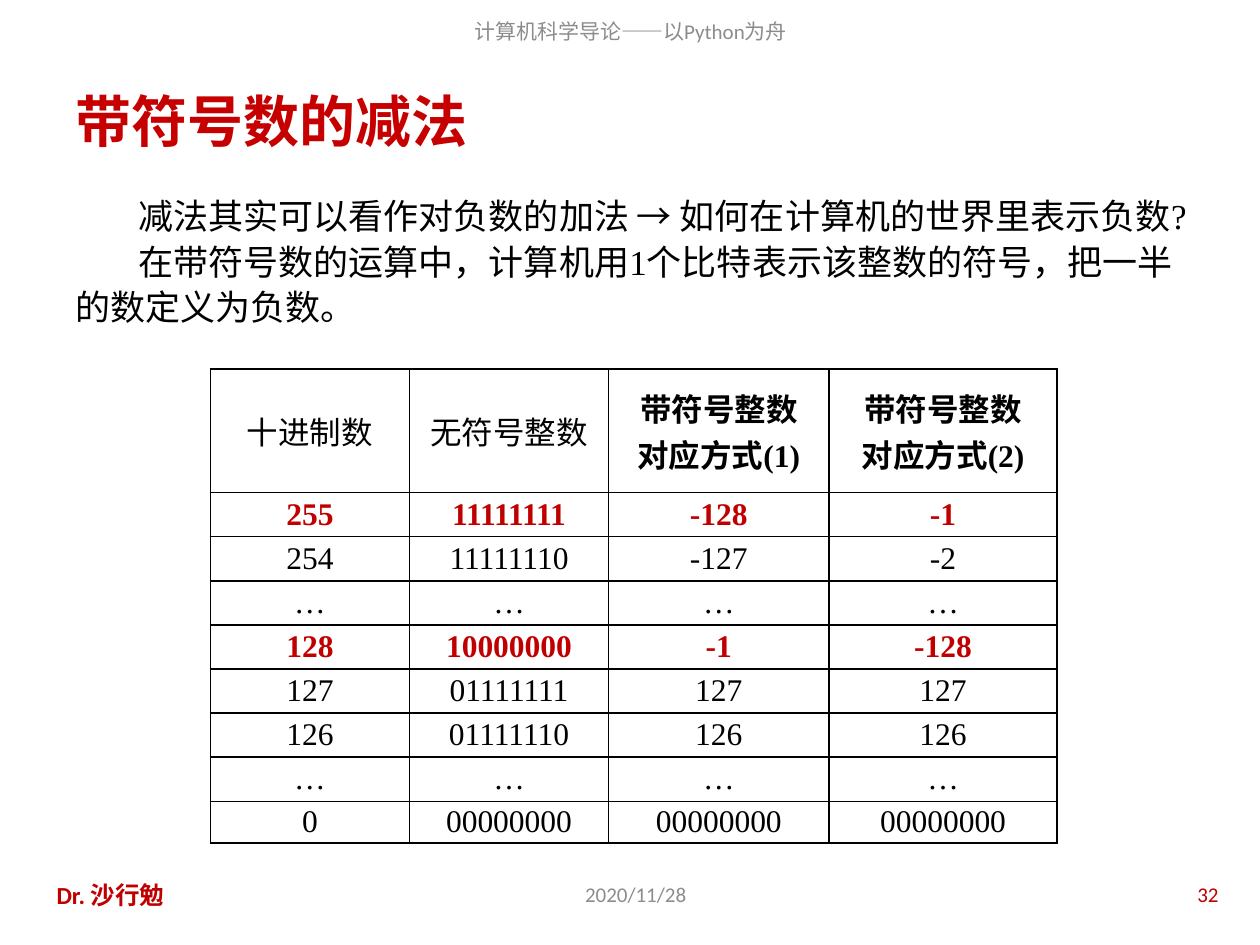
import pptx
import pptx.util
import pptx.dml.color
import pptx.enum.text
import pptx.oxml
from pptx.util import Inches

INK = {"black": "000000", "gray": "8C8C8C", "title": "C60000", "red": "C00000"}
ALIGN = pptx.enum.text.PP_ALIGN
MID = pptx.enum.text.MSO_ANCHOR.MIDDLE
TOP = pptx.enum.text.MSO_ANCHOR.TOP
NS = 'xmlns:a="http://schemas.openxmlformats.org/drawingml/2006/main"'

HEAD = ["十进制数", "无符号整数", "带符号整数\n对应方式(1)", "带符号整数\n对应方式(2)"]
ROWS = [
    ["255", "11111111", "-128", "-1"],
    ["254", "11111110", "-127", "-2"],
    ["…"] * 4,
    ["128", "10000000", "-1", "-128"],
    ["127", "01111111", "127", "127"],
    ["126", "01111110", "126", "126"],
    ["…"] * 4,
    ["0"] + ["00000000"] * 3,
]
KEYS = ("255", "128")
WIDE = [1.58, 1.58, 1.75, 1.81]
HIGH = [0.98] + [0.35] * 7 + [0.33]


def write(frame, text, size=18, font="Calibri", color="black", bold=False,
          align=ALIGN.LEFT, indent=0, space=None):
    for i, line in enumerate(text.split("\n")):
        para = frame.paragraphs[0] if i == 0 else frame.add_paragraph()
        para.alignment = align
        para.line_spacing = space
        if indent:
            props = para._p.get_or_add_pPr()
            props.set("marL", "0")
            props.set("indent", str(Inches(indent)))
            props.set("hangingPunct", "1")
        run = para.add_run()
        run.text = line
        run.font.size = pptx.util.Pt(size)
        run.font.name = font
        run.font.bold = bold
        run.font.color.rgb = pptx.dml.color.RGBColor.from_string(INK[color])


def label(slide, box, text, anchor=MID, **form):
    frame = slide.shapes.add_textbox(*map(Inches, box)).text_frame
    frame.word_wrap = True
    frame.vertical_anchor = anchor
    write(frame, text, **form)


def border(cell):
    props = cell._tc.get_or_add_tcPr()
    for i, side in enumerate(("lnL", "lnR", "lnT", "lnB")):
        props.insert(i, pptx.oxml.parse_xml(
            f'<a:{side} {NS} w="12700"><a:solidFill><a:srgbClr val="{INK["black"]}"/>'
            f'</a:solidFill></a:{side}>'))


def grid(slide, box):
    data = [HEAD] + ROWS
    table = slide.shapes.add_table(len(data), len(HEAD), *map(Inches, box)).table
    table.first_row = table.horz_banding = False
    for col, width in zip(table.columns, WIDE):
        col.width = Inches(width)
    for row, height, texts in zip(table.rows, HIGH, data):
        row.height = Inches(height)
        key = texts[0] in KEYS
        for cell, text in zip(row.cells, texts):
            cell.fill.background()
            border(cell)
            cell.vertical_anchor = MID
            cell.margin_left = cell.margin_right = Inches(0.07)
            cell.margin_top = cell.margin_bottom = 0
            write(cell.text_frame, text, font="Times New Roman", align=ALIGN.CENTER,
                  color="red" if key else "black", bold=key or "\n" in text)


def header(slide, box):
    label(slide, box, "计算机科学导论——以Python为舟", size=12, color="gray",
          align=ALIGN.CENTER)


def title(slide, box):
    label(slide, box, "带符号数的减法", size=32, color="title", bold=True)


def body(slide, box):
    label(slide, box,
          "减法其实可以看作对负数的加法 → 如何在计算机的世界里表示负数?\n"
          "在带符号数的运算中，计算机用1个比特表示该整数的符号，把一半的数定义为负数。",
          anchor=TOP, size=20, font="Times New Roman", indent=0.5, space=1.08)


def footer(slide, box):
    left, top, width, height = box
    label(slide, (left, top, 2.21, height), "Dr. 沙行勉", size=14, color="red", bold=True)
    label(slide, (left + 3, top, 3.39, height), "2020/11/28", size=12, color="gray",
          align=ALIGN.CENTER)
    label(slide, (left + width - 2.33, top, 2.33, height), "32", size=12, color="red",
          align=ALIGN.RIGHT)


def main():
    deck = pptx.Presentation()
    deck.slide_width, deck.slide_height = Inches(10), Inches(7.5)
    slide = deck.slides.add_slide(deck.slide_layouts[6])
    header(slide, (1.54, 0.05, 6.93, 0.39))
    title(slide, (0.5, 0.6, 9, 0.7))
    body(slide, (0.5, 1.47, 9, 5.15))
    grid(slide, (1.67, 2.93, sum(WIDE), sum(HIGH)))
    footer(slide, (0.35, 6.9, 9.42, 0.4))
    deck.save("out.pptx")


if __name__ == "__main__":
    main()
